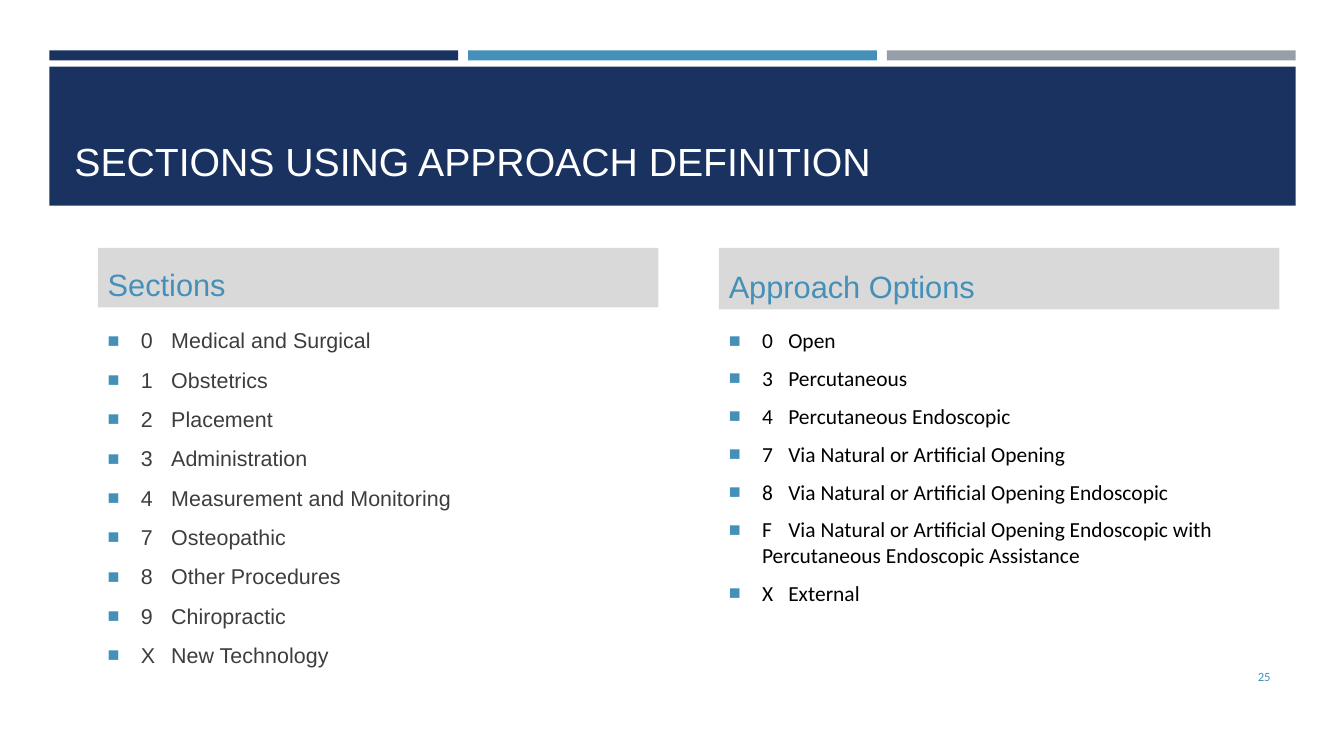
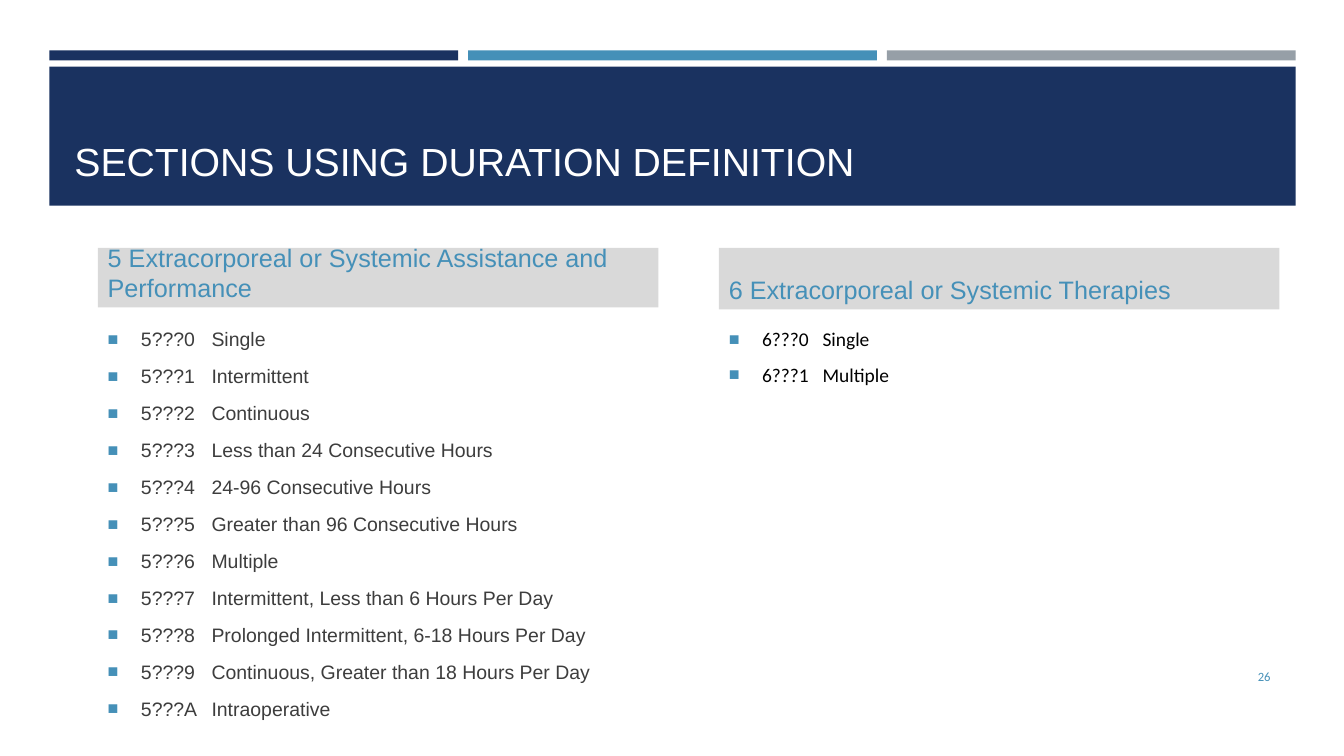
import pptx
import pptx.util
import pptx.dml.color
import pptx.enum.shapes
import pptx.enum.text
import pptx.oxml.ns
from lxml import etree

Inches, Pt = pptx.util.Inches, pptx.util.Pt
ANCHOR = pptx.enum.text.MSO_ANCHOR
ALIGN = pptx.enum.text.PP_ALIGN

# Shared look
NAVY, BLUE, GRAY = "1A3260", "4590B8", "969FA7"
PALE, DARK, BLACK, WHITE = "D9D9D9", "3D3D3D", "000000", "FFFFFF"
SANS, BODY = "Arial", "Calibri"
INDENT = 0.33


def color(code):
    return pptx.dml.color.RGBColor.from_string(code)


def add_rect(slide, box, fill):
    shape = slide.shapes.add_shape(
        pptx.enum.shapes.MSO_SHAPE.RECTANGLE, *map(Inches, box))
    shape.shadow.inherit = False
    shape.fill.solid()
    shape.fill.fore_color.rgb = color(fill)
    shape.line.fill.background()
    return shape


def add_box(slide, box):
    return slide.shapes.add_textbox(*map(Inches, box))


def set_frame(shape, anchor):
    frame = shape.text_frame
    frame.word_wrap = True
    frame.vertical_anchor = anchor
    return frame


def add_run(para, text, size, font, code):
    run = para.add_run()
    run.text = text
    run.font.size = Pt(size)
    run.font.name = font
    run.font.color.rgb = color(code)


def add_line(shape, anchor, text, size, font, code, align=ALIGN.LEFT):
    para = set_frame(shape, anchor).paragraphs[0]
    para.alignment = align
    add_run(para, text, size, font, code)


def set_bullet(para, tab):
    """Square bullet with a hanging indent and a stop for the label."""
    props = para._p.get_or_add_pPr()
    props.set("marL", str(Inches(INDENT)))
    props.set("indent", str(-Inches(INDENT)))

    def add(parent, tag, **attrs):
        return etree.SubElement(parent, pptx.oxml.ns.qn("a:" + tag), attrs)

    add(add(props, "buClr"), "srgbClr", val=BLUE)
    add(props, "buSzPct", val="92000")
    add(props, "buFont", typeface=SANS)
    add(props, "buChar", char="■")
    # Stops for offsets counted from the indent or from the box edge
    stops = add(props, "tabLst")
    for pos in (tab, tab + INDENT):
        add(stops, "tab", pos=str(Inches(pos)), algn="l")


# Three strips over the title band
def add_head(slide, box, title):
    left, top, width, height = box
    gap, strip = 0.1, 0.1
    part = (width - 2 * gap) / 3
    for i, fill in enumerate((NAVY, BLUE, GRAY)):
        add_rect(slide, (left + i * (part + gap), top, part, strip), fill)
    add_rect(slide, (left, top + 0.16, width, height - 0.16), NAVY)
    add_line(add_box(slide, (left + 0.15, top + 0.3, width - 0.3, 1.08)),
             ANCHOR.BOTTOM, title, 28, SANS, WHITE)


# Heading bar over a bulleted list
def add_list(slide, box, bar, head, rows, size, style):
    left, top, width, height = box
    font, code, before, tab = style
    add_line(add_rect(slide, (left, top, width, bar), PALE),
             ANCHOR.BOTTOM, head, size[0], SANS, BLUE)
    frame = set_frame(add_box(slide, (left, top + 0.74, width, height - 0.74)),
                      ANCHOR.TOP)
    for i, row in enumerate(rows):
        para = frame.add_paragraph() if i else frame.paragraphs[0]
        para.space_before = Pt(before)
        para.space_after = Pt(6)
        set_bullet(para, tab)
        add_run(para, "\t".join(row), size[1], font, code)


def add_page(deck, number, title, size, tabs, depth, lists):
    slide = deck.slides.add_slide(deck.slide_layouts[6])
    add_head(slide, (0.49, 0.5, 12.36, 1.54), title)
    looks = ((0.97, 0.59, SANS, DARK, 3.7), (7.13, 0.61, BODY, BLACK, 2.6))
    for look, tab, (head, rows) in zip(looks, tabs, lists):
        left, bar, font, code, before = look
        add_list(slide, (left, 2.46, 5.56, depth), bar, head, rows, size,
                 (font, code, before, tab))
    add_line(add_box(slide, (11.55, 6.51, 1.15, 0.4)), ANCHOR.MIDDLE,
             str(number), 9, BODY, BLUE, ALIGN.RIGHT)


APPROACH = (
    ("Sections", (
        ("0", "Medical and Surgical"),
        ("1", "Obstetrics"),
        ("2", "Placement"),
        ("3", "Administration"),
        ("4", "Measurement and Monitoring"),
        ("7", "Osteopathic"),
        ("8", "Other Procedures"),
        ("9", "Chiropractic"),
        ("X", "New Technology"))),
    ("Approach Options", (
        ("0", "Open"),
        ("3", "Percutaneous"),
        ("4", "Percutaneous Endoscopic"),
        ("7", "Via Natural or Artificial Opening"),
        ("8", "Via Natural or Artificial Opening Endoscopic"),
        ("F", "Via Natural or Artificial Opening Endoscopic with "
              "Percutaneous Endoscopic Assistance"),
        ("X", "External"))),
)

DURATION = (
    ("5 Extracorporeal or Systemic Assistance and Performance", (
        ("5???0", "Single"),
        ("5???1", "Intermittent"),
        ("5???2", "Continuous"),
        ("5???3", "Less than 24 Consecutive Hours"),
        ("5???4", "24-96 Consecutive Hours"),
        ("5???5", "Greater than 96 Consecutive Hours"),
        ("5???6", "Multiple"),
        ("5???7", "Intermittent, Less than 6 Hours Per Day"),
        ("5???8", "Prolonged Intermittent, 6-18 Hours Per Day"),
        ("5???9", "Continuous, Greater than 18 Hours Per Day"),
        ("5???A", "Intraoperative"))),
    ("6 Extracorporeal or Systemic Therapies", (
        ("6???0", "Single"),
        ("6???1", "Multiple"))),
)


def main():
    deck = pptx.Presentation()
    deck.slide_width, deck.slide_height = Inches(13.33), Inches(7.5)
    add_page(deck, 25, "SECTIONS USING APPROACH DEFINITION",
             (22, 15.3), (0.3, 0.26), 3.95, APPROACH)
    add_page(deck, 26, "SECTIONS USING DURATION DEFINITION",
             (18, 13.9), (0.7, 0.6), 4.24, DURATION)
    deck.save("out.pptx")


if __name__ == "__main__":
    main()
